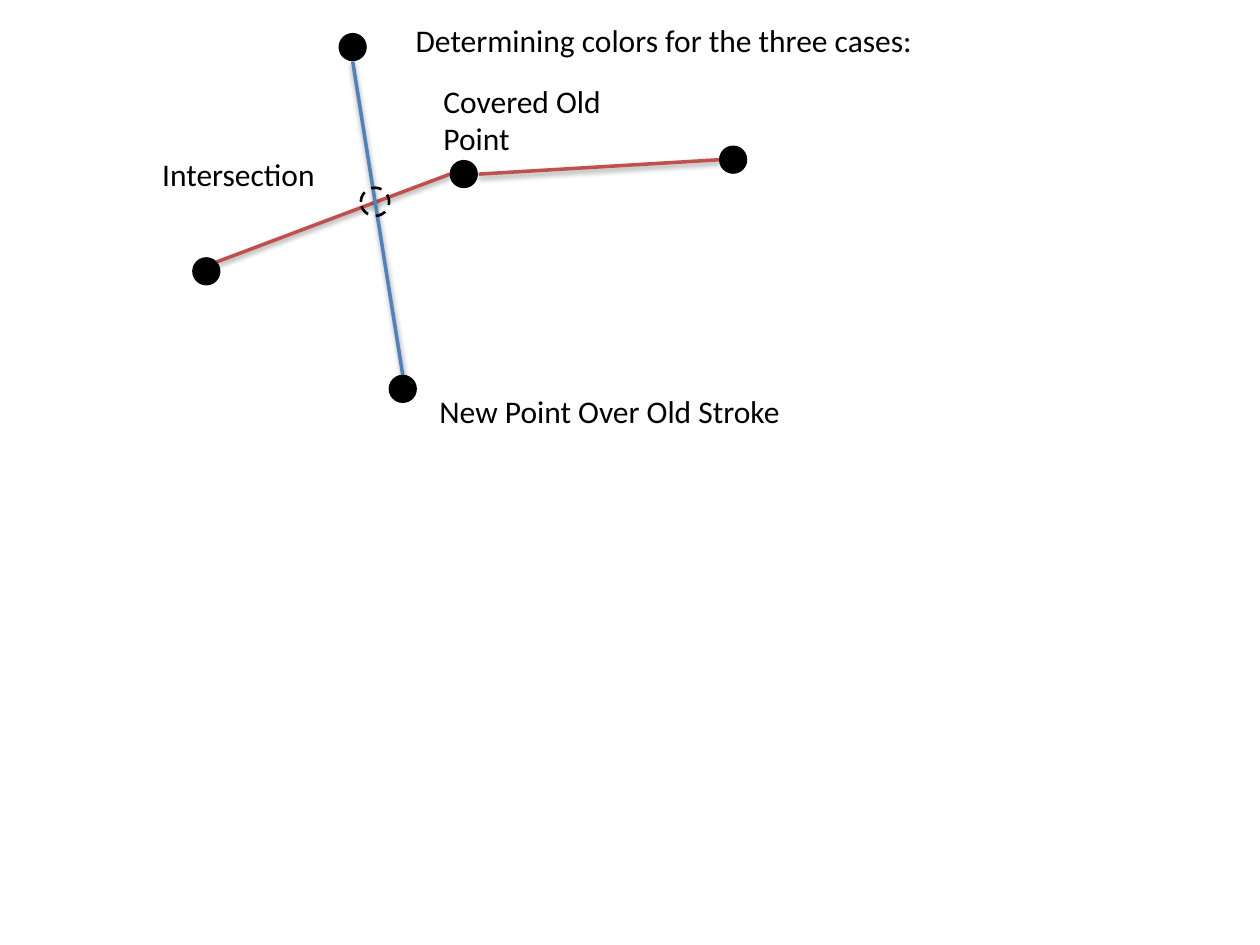
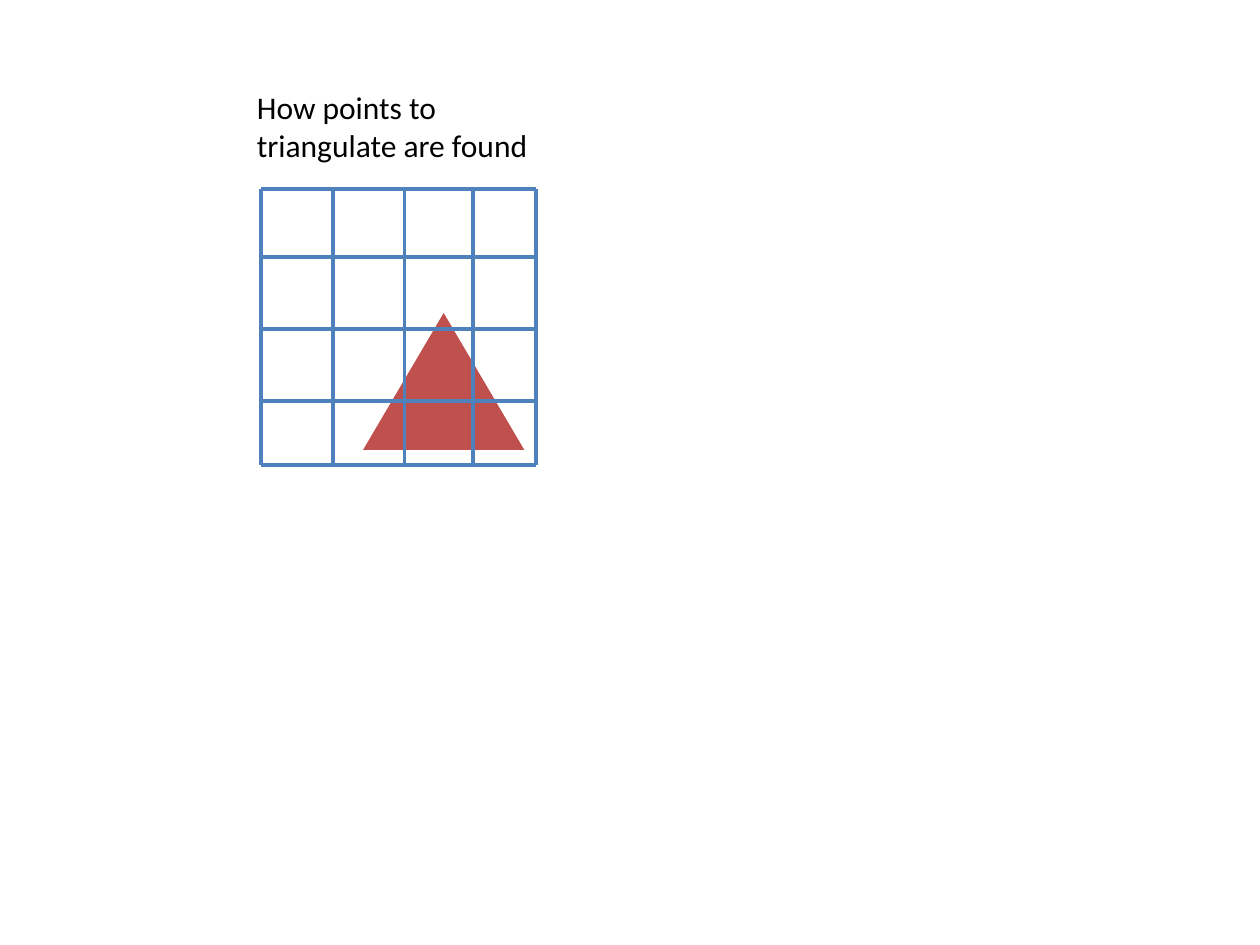
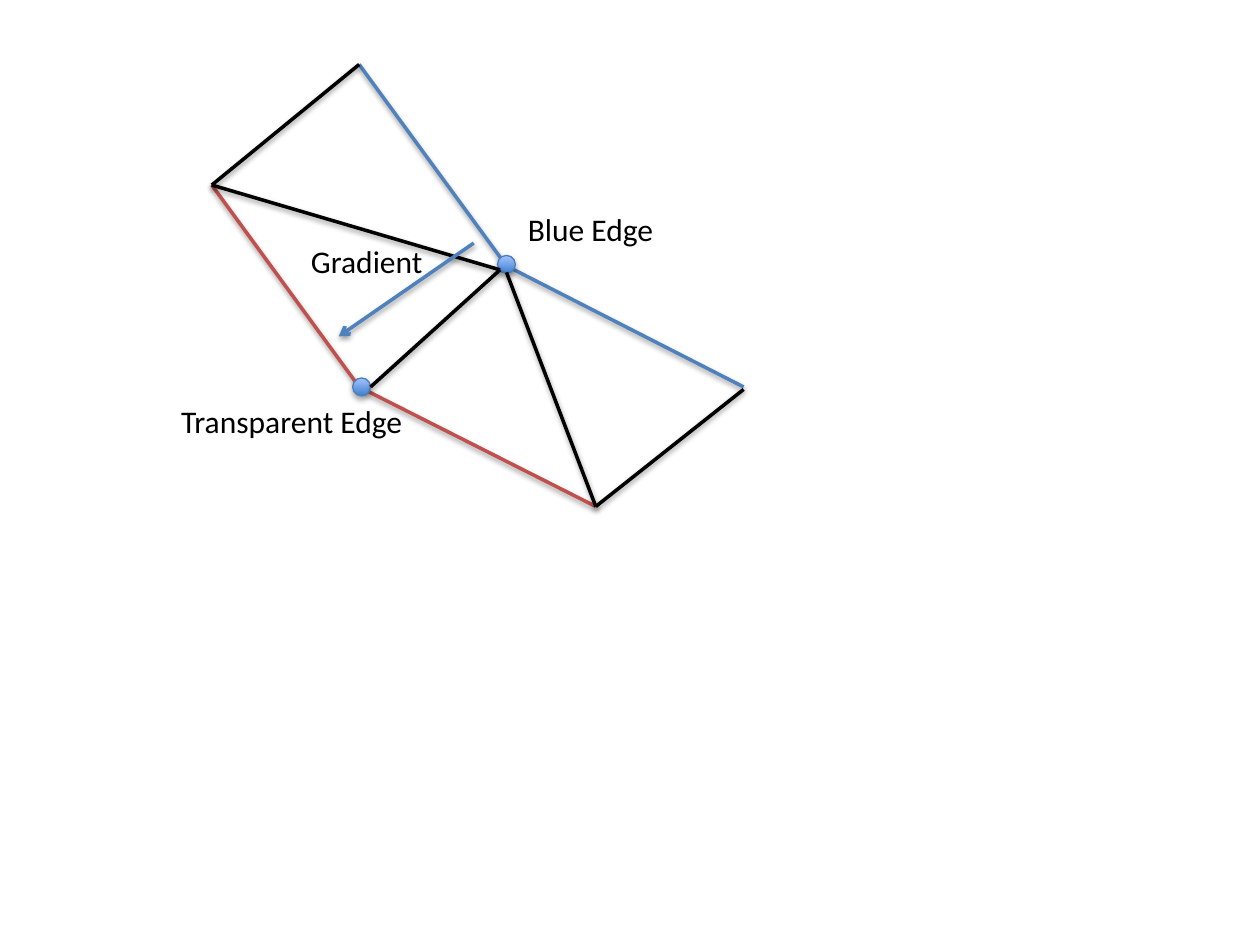
from lxml import etree
from pptx import Presentation
from pptx.dml.color import RGBColor
from pptx.enum.dml import MSO_LINE
from pptx.enum.shapes import MSO_CONNECTOR, MSO_SHAPE
from pptx.enum.text import MSO_AUTO_SIZE
from pptx.oxml.ns import qn
from pptx.util import Cm, Pt

STRAIGHT = MSO_CONNECTOR.STRAIGHT
ELLIPSE = MSO_SHAPE.OVAL
TRIANGLE = MSO_SHAPE.ISOSCELES_TRIANGLE
DASH = MSO_LINE.DASH
GROW = MSO_AUTO_SIZE.SHAPE_TO_FIT_TEXT

BLACK = RGBColor(0x00, 0x00, 0x00)
RED = RGBColor(0xC0, 0x50, 0x4D)
BLUE = RGBColor(0x4F, 0x81, 0xBD)
RIM_BLUE = RGBColor(0x4B, 0x7E, 0xBC)
DEEP_BLUE = RGBColor(0x3F, 0x80, 0xCE)
PALE_BLUE = RGBColor(0xA4, 0xC4, 0xFF)

FONT = "Calibri"
ONE_LINE, TWO_LINES = 1.03, 1.8
SHADOW = (
    '<a:outerShdw xmlns:a="http://schemas.openxmlformats.org/drawingml/2006/main" '
    'blurRad="40000" dist="{}" dir="5400000" rotWithShape="0">'
    '<a:srgbClr val="000000"><a:alpha val="{}"/></a:srgbClr></a:outerShdw>'
)
LINE_SHADOW = SHADOW.format(20000, 38000)
DOT_SHADOW = SHADOW.format(23000, 35000)


def add_line(shapes, start, end, color, shadow=True, arrow=False):
    line = shapes.add_connector(STRAIGHT, *map(Cm, start + end))
    line.line.color.rgb = color
    line.line.width = Pt(2)
    if arrow:
        etree.SubElement(line.line._get_or_add_ln(), qn("a:tailEnd"), type="arrow")
    effects = etree.SubElement(line._element.spPr, qn("a:effectLst"))
    if shadow:
        effects.append(etree.fromstring(LINE_SHADOW))


def add_label(page, text, left, top, width, height=ONE_LINE, wrap=True):
    box = page.shapes.add_textbox(Cm(left), Cm(top), Cm(width), Cm(height))
    box.text_frame.word_wrap = wrap
    box.text_frame.auto_size = GROW
    span = box.text_frame.paragraphs[0].add_run()
    span.text = text
    span.font.name = FONT
    span.font.size = Pt(18)
    span.font.color.rgb = BLACK


deck = Presentation()
deck.slide_width, deck.slide_height = Cm(25.4), Cm(19.05)
blank = deck.slide_layouts[6]

# Slide 1: crossing strokes
page = deck.slides.add_slide(blank)
for start, end, color in [
    ((9.07, 3.51), (4.37, 5.28), RED),
    ((14.5, 3.22), (9.65, 3.51), RED),
    ((7.11, 1.24), (8.12, 7.56), BLUE),
]:
    add_line(page.shapes, start, end, color)

# Stroke points, and the dashed ring at the intersection
POINT_SIZE = 0.57
for x, y, solid in [
    (4.16, 5.47, True),
    (9.35, 3.51, True),
    (14.78, 3.22, True),
    (7.11, 0.95, True),
    (8.12, 7.84, True),
    (7.56, 4.07, False),
]:
    point = page.shapes.add_shape(
        ELLIPSE, Cm(x - POINT_SIZE / 2), Cm(y - POINT_SIZE / 2),
        Cm(POINT_SIZE), Cm(POINT_SIZE))
    point.shadow.inherit = False
    if solid:
        point.fill.solid()
        point.fill.fore_color.rgb = BLACK
        point.line.fill.background()
    else:
        point.fill.background()
        point.line.color.rgb = BLACK
        point.line.width = Pt(1.5)
        point.line.dash_style = DASH

add_label(page, "Covered Old Point", 8.69, 1.52, 3.94, TWO_LINES)
add_label(page, "New Point Over Old Stroke", 8.61, 7.77, 7.49, wrap=False)
add_label(page, "Intersection", 3.02, 3, 3.63, wrap=False)
add_label(page, "Determining colors for the three cases:", 8.13, 0.3, 11.43)

# Slide 2: triangle under a grid
page = deck.slides.add_slide(blank)
triangle = page.shapes.add_shape(TRIANGLE, Cm(7.32), Cm(6.31), Cm(3.25), Cm(2.76))
triangle.shadow.inherit = False
triangle.fill.solid()
triangle.fill.fore_color.rgb = RED
triangle.line.fill.background()

columns = [5.26, 6.71, 8.15, 9.53, 10.8]
rows = [3.81, 5.18, 6.63, 8.08, 9.37]
column_lines = page.shapes.add_group_shape()
for x in columns:
    add_line(column_lines.shapes, (x, rows[0]), (x, rows[-1]), BLUE, shadow=False)
row_lines = page.shapes.add_group_shape()
for y in rows:
    add_line(row_lines.shapes, (columns[0], y), (columns[-1], y), BLUE, shadow=False)

add_label(page, "How points to triangulate are found", 4.93, 1.65, 6.15, TWO_LINES)

# Slide 3: triangulated stroke with a gradient
page = deck.slides.add_slide(blank)
outer_start, outer_bend, outer_end = (7.24, 1.3), (10.21, 5.36), (14.99, 7.8)
inner_start, inner_bend, inner_end = (4.27, 3.73), (7.24, 7.8), (12.01, 10.21)
for start, end, color in [
    (inner_start, inner_bend, RED),
    (outer_start, outer_bend, BLUE),
    (outer_bend, outer_end, BLUE),
    (inner_bend, inner_end, RED),
]:
    add_line(page.shapes, start, end, color)

# Bend markers
MARKER_SIZE = 0.36
for x, y in [(10.21, 5.33), (7.29, 7.8)]:
    marker = page.shapes.add_shape(
        ELLIPSE, Cm(x - MARKER_SIZE / 2), Cm(y - MARKER_SIZE / 2),
        Cm(MARKER_SIZE), Cm(MARKER_SIZE))
    marker.fill.gradient()
    marker.fill.gradient_angle = 90
    for stop, color in zip(marker.fill.gradient_stops, (DEEP_BLUE, PALE_BLUE)):
        stop.color.rgb = color
    marker.line.color.rgb = RIM_BLUE
    marker.line.width = Pt(0.75)
    marker.shadow.inherit = False
    effects = marker._element.spPr.find(qn("a:effectLst"))
    effects.append(etree.fromstring(DOT_SHADOW))

add_label(page, "Blue Edge", 10.39, 4.11, 3.05)
add_label(page, "Transparent Edge", 3.4, 7.98, 5.36)

# Triangle sides between the two edges
for start, end in [
    ((10.08, 5.44), inner_start),
    (inner_end, (10.21, 5.49)),
    ((7.47, 7.8), (10.08, 5.44)),
    (inner_end, (14.99, 7.85)),
    (inner_start, outer_start),
]:
    add_line(page.shapes, start, end, BLACK)

add_line(page.shapes, (9.55, 4.9), (6.83, 6.78), BLUE, arrow=True)
add_label(page, "Gradient", 6.02, 4.75, 3.68)

deck.save("out.pptx")
